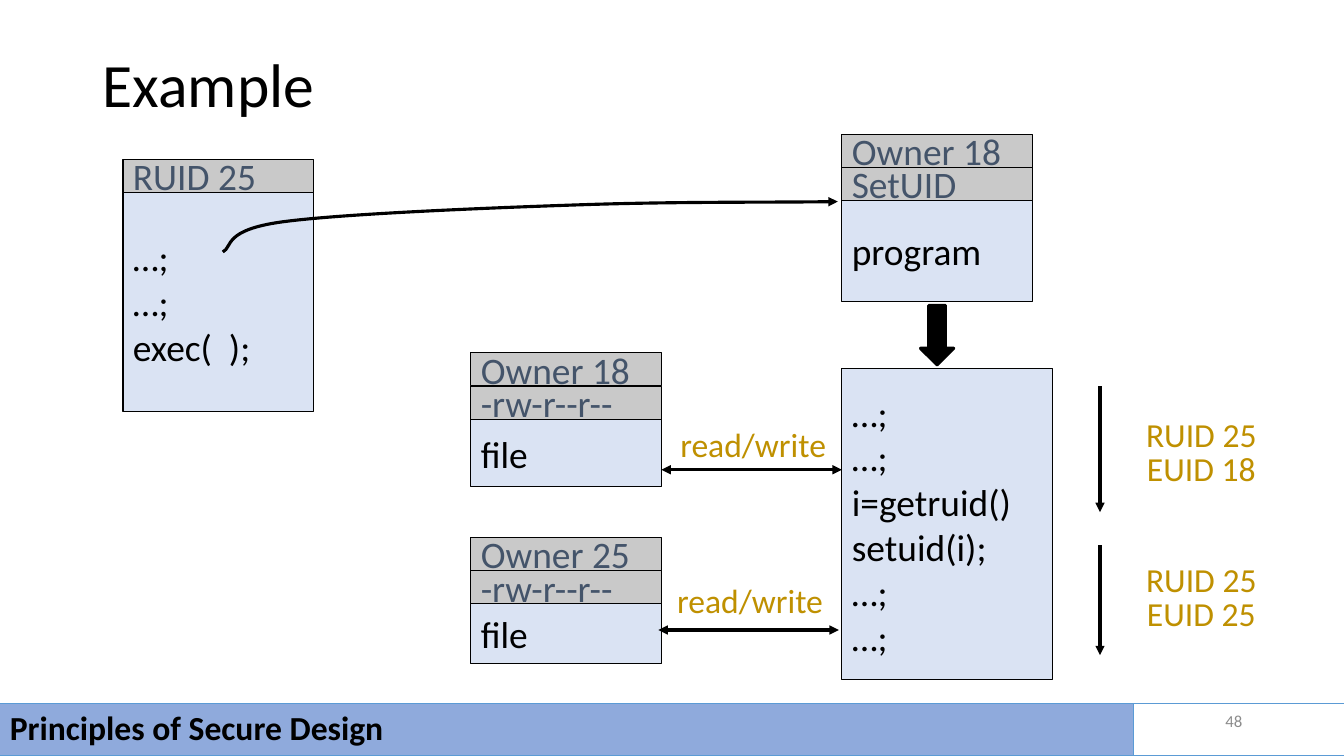
from lxml import etree
from pptx import Presentation
from pptx.dml.color import RGBColor as Rgb
from pptx.enum.shapes import MSO_CONNECTOR as Link, MSO_SHAPE as Kind
from pptx.enum.text import MSO_ANCHOR as Anchor, MSO_AUTO_SIZE as Auto, PP_ALIGN as Align
from pptx.oxml.ns import qn
from pptx.util import Inches, Pt


def tint(code):
    return Rgb.from_string(code)


def write(shape, text, size=26.7, color="000000", bold=False, align=Align.LEFT,
          anchor=Anchor.MIDDLE, wrap=True, space=1.0):
    frame = shape.text_frame
    frame.word_wrap = wrap
    frame.vertical_anchor = anchor
    for i, line in enumerate(text.split("\n")):
        para = frame.paragraphs[0] if i == 0 else frame.add_paragraph()
        para.alignment = align
        para.line_spacing = space
        run = para.add_run()
        run.text = line
        font = run.font
        font.name, font.size, font.bold = "Calibri", Pt(size), bold
        font.color.rgb = tint(color)


class Board:
    """Holds the diagram's colours and the slide it is drawn on."""
    ink, slate, gold = "000000", "44546A", "BF9000"
    grey, pale, blue, edge = "C9C9C9", "DAE3F3", "8FAADC", "5B9BD5"
    row, wide = 0.33, 1.89

    def __init__(self, slide):
        self.slide = slide

    def box(self, x, y, w, h, fill=None, line=ink, width=0.75, kind=Kind.RECTANGLE):
        shape = self.slide.shapes.add_shape(kind, Inches(x), Inches(y), Inches(w), Inches(h))
        shape.shadow.inherit = False
        if fill:
            shape.fill.solid()
            shape.fill.fore_color.rgb = tint(fill)
        else:
            shape.fill.background()
        shape.line.color.rgb = tint(line)
        shape.line.width = Pt(width)
        return shape

    def text(self, x, y, w, h, words, **style):
        shape = self.slide.shapes.add_textbox(Inches(x), Inches(y), Inches(w), Inches(h))
        write(shape, words, **style)
        return shape

    def label(self, x, y, w, words):
        shape = self.text(x, y, w, 0.5, words, size=24, color=self.gold,
                          align=Align.CENTER, anchor=Anchor.TOP, wrap=False)
        shape.text_frame.auto_size = Auto.SHAPE_TO_FIT_TEXT

    def card(self, x, y, heads, body, h, w=wide):
        top = y + self.row * len(heads)
        write(self.box(x, top, w, h, self.pale), body)
        for i, head in enumerate(heads):
            cell = self.box(x, y + i * self.row, w, self.row, self.grey)
            write(cell, head, color=self.slate, wrap=False)

    def tip(self, shape, ends):
        shape.line.color.rgb = tint(self.ink)
        shape.line.width = Pt(2.25)
        line = shape.line._get_or_add_ln()
        for end in ends:
            etree.SubElement(line, qn(f"a:{end}"), type="triangle")

    def arrow(self, x1, y1, x2, y2, ends=("tailEnd",)):
        wire = self.slide.shapes.add_connector(
            Link.STRAIGHT, Inches(x1), Inches(y1), Inches(x2), Inches(y2))
        self.tip(wire, ends)
        etree.SubElement(wire._element.spPr, qn("a:effectLst"))

    def curve(self, start, knots):
        pen = self.slide.shapes.build_freeform(
            Inches(start[0]), Inches(start[1]), scale=1.0)
        pen.add_line_segments([(Inches(x), Inches(y)) for x, y in knots], close=False)
        shape = pen.convert_to_shape()
        shape.shadow.inherit = False
        shape.fill.background()
        steps = list(shape._element.iter(qn("a:lnTo")))
        for i in range(0, len(steps), 3):
            bend = etree.Element(qn("a:cubicBezTo"))
            steps[i].addprevious(bend)
            for step in steps[i:i + 3]:
                bend.append(step[0])
                step.getparent().remove(step)
        self.tip(shape, ("tailEnd",))


def main():
    deck = Presentation()
    deck.slide_width, deck.slide_height = Inches(13.33), Inches(7.5)
    board = Board(deck.slides.add_slide(deck.slide_layouts[6]))

    board.text(0.92, 0.14, 11.5, 1.45, "Example", size=44, space=0.9)

    board.card(1.22, 1.58, ["RUID 25"], "…;\n…;\nexec(  );", 2.17)
    board.card(8.35, 1.33, ["Owner 18", "SetUID"], "program", 1)
    board.card(8.35, 3.66, [], "…;\n…;\ni=getruid()\nsetuid(i);\n…;\n…;", 3.08, w=2.09)
    board.card(4.67, 3.5, ["Owner 18", "-rw-r--r--"], "file", 0.67)
    board.card(4.67, 5.33, ["Owner 25", "-rw-r--r--"], "file", 0.59)

    board.curve((2.21, 2.5), [
        (2.31, 2.45), (2.21, 2.28), (2.81, 2.2),
        (3.41, 2.12), (4.9, 2.06), (5.82, 2.03),
        (6.73, 2), (7.79, 2.01), (8.31, 2)])
    board.box(9.13, 3.03, 0.33, 0.59, board.ink, width=2.25, kind=Kind.DOWN_ARROW)

    for x, y, top in ((6.56, 4.66, 4.16), (6.53, 6.25, 5.7)):
        board.arrow(x, y, x + 1.79, y, ("headEnd", "tailEnd"))
        board.label(x + 0.08, top, 1.66, "read/write")

    for top, end, y, user in ((3.83, 5.08, 4.06, 18), (5.41, 6.5, 5.5, 25)):
        board.arrow(10.91, top, 10.91, end)
        board.label(11.26, y, 1.31, "RUID 25")
        board.label(11.27, y + board.row, 1.29, f"EUID {user}")

    foot = board.box(0, 6.98, 11.24, 0.52, board.blue, board.edge)
    write(foot, "Principles of Secure Design", size=24, bold=True, space=0.9)
    board.box(11.24, 6.98, 2.1, 0.52, line=board.edge)
    board.text(9.42, 6.95, 3, 0.4, "48", size=12, color="8C8C8C", align=Align.RIGHT)

    deck.save("out.pptx")


if __name__ == "__main__":
    main()
